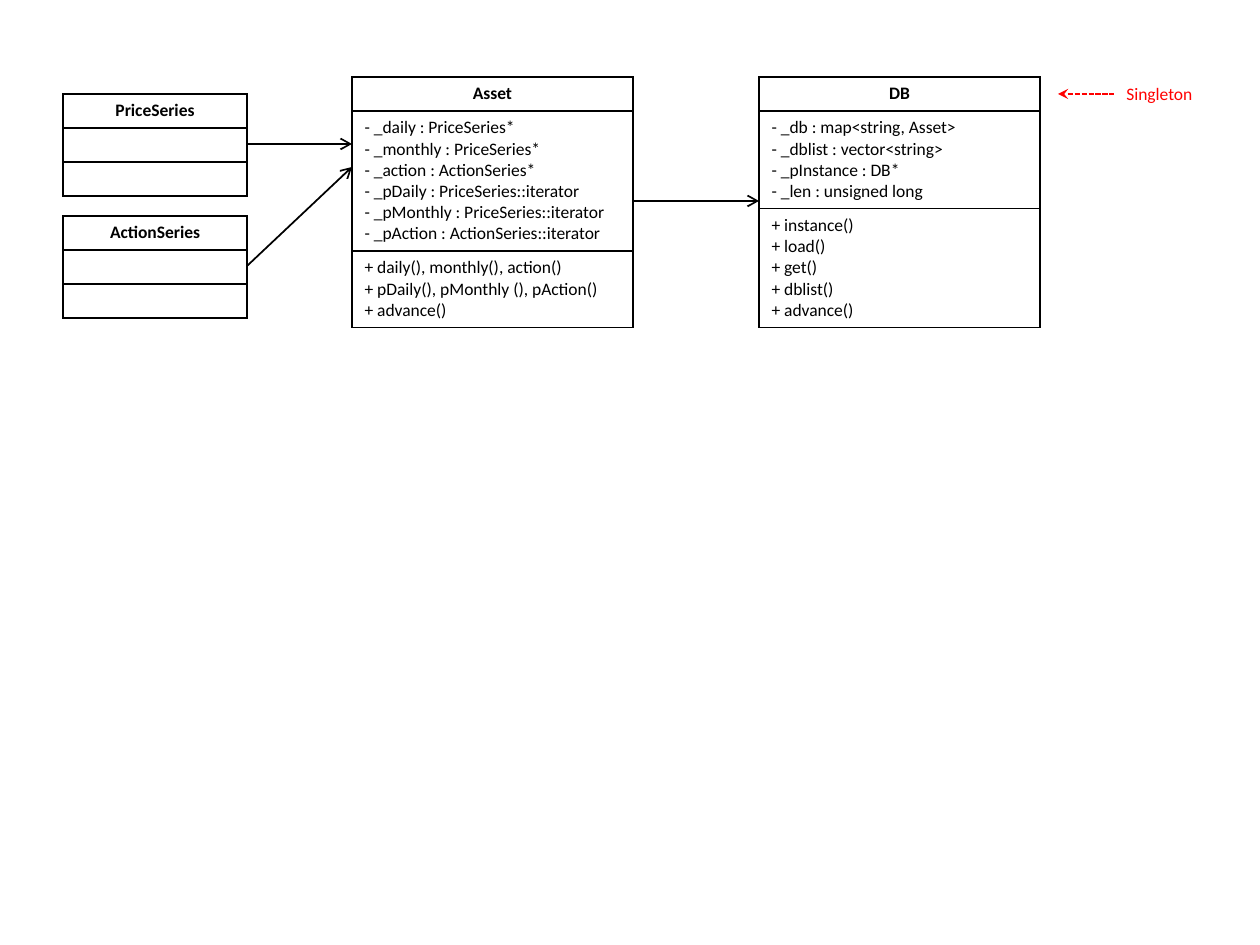
from pptx import Presentation
from pptx.dml.color import RGBColor as RGB
from pptx.enum.dml import MSO_LINE as Dash
from pptx.enum.shapes import MSO_CONNECTOR as Link, MSO_SHAPE as Shape
from pptx.enum.text import MSO_ANCHOR as Anchor, MSO_AUTO_SIZE as Fit, PP_ALIGN as Align
from pptx.oxml.ns import qn
from pptx.util import Pt
from lxml.etree import SubElement as Sub

SCALE = 914400 // 126
COLORS = {"ink": "000000", "paper": "FFFFFF", "note": "FF0000"}


def px(n):
    return round(n * SCALE)


class Board:
    font = "Calibri"
    size = 10
    width = 1

    def __init__(self, slide):
        self.slide = slide

    def color(self, name):
        return RGB.from_string(COLORS[name])

    def fill(self, item, name):
        item.fill.solid()
        item.fill.fore_color.rgb = self.color(name)

    def text(self, frame, lines, color="ink", bold=False, align=Align.LEFT):
        for i, line in enumerate(lines):
            para = frame.add_paragraph() if i else frame.paragraphs[0]
            para.alignment = align
            run = para.add_run()
            run.text = line
            run.font.name = self.font
            run.font.size = Pt(self.size)
            run.font.bold = bold
            run.font.color.rgb = self.color(color)
        if not lines:
            end = Sub(frame.paragraphs[0]._p, qn("a:endParaRPr"))
            end.set("sz", str(self.size * 100))

    def border(self, cell):
        props = cell._tc.get_or_add_tcPr()
        for i, side in enumerate(("lnL", "lnR", "lnT", "lnB")):
            line = props.makeelement(qn("a:" + side), {"w": str(Pt(self.width))})
            fill = Sub(line, qn("a:solidFill"))
            Sub(fill, qn("a:srgbClr"), val=COLORS["ink"])
            props.insert(i, line)

    def entity(self, x, y, w, name, fields=(), methods=()):
        parts = [(name,), fields, methods]
        highs = [round(12.6 + 21.2 * max(1, len(part))) for part in parts]
        frame = self.slide.shapes.add_table(3, 1, px(x), px(y), px(w), px(sum(highs)))
        table = frame.table
        table.first_row = table.horz_banding = False
        for i, (part, high) in enumerate(zip(parts, highs)):
            table.rows[i].height = px(high)
            cell = table.cell(i, 0)
            self.fill(cell, "paper")
            self.border(cell)
            self.text(cell.text_frame, part, bold=i == 0,
                      align=Align.LEFT if i else Align.CENTER)

    def arrow(self, tip, tail, color="ink", head="arrow", dash=None):
        link = self.slide.shapes.add_connector(Link.STRAIGHT, *map(px, tip + tail))
        link.line.color.rgb = self.color(color)
        link.line.width = Pt(self.width)
        if dash:
            link.line.dash_style = dash
        Sub(link.line._get_or_add_ln(), qn("a:headEnd"), type=head)
        Sub(link._element.spPr, qn("a:effectLst"))

    def label(self, x, y, w, h, words, color):
        box = self.slide.shapes.add_shape(Shape.RECTANGLE, *map(px, (x, y, w, h)))
        box.shadow.inherit = False
        self.fill(box, "paper")
        box.line.fill.background()
        frame = box.text_frame
        frame.word_wrap = False
        frame.auto_size = Fit.SHAPE_TO_FIT_TEXT
        frame.vertical_anchor = Anchor.TOP
        self.text(frame, [words], color)


deck = Presentation()
deck.slide_width, deck.slide_height = px(1260), px(945)
board = Board(deck.slides.add_slide(deck.slide_layouts[6]))

board.entity(352, 77, 281, "Asset", [
    "- _daily : PriceSeries*",
    "- _monthly : PriceSeries*",
    "- _action : ActionSeries*",
    "- _pDaily : PriceSeries::iterator",
    "- _pMonthly : PriceSeries::iterator",
    "- _pAction : ActionSeries::iterator",
], [
    "+ daily(), monthly(), action()",
    "+ pDaily(), pMonthly (), pAction()",
    "+ advance()",
])
board.entity(759, 77, 281, "DB", [
    "- _db : map<string, Asset>",
    "- _dblist : vector<string>",
    "- _pInstance : DB*",
    "- _len : unsigned long",
], ["+ instance()", "+ load()", "+ get()", "+ dblist()", "+ advance()"])
board.arrow((759, 201), (633, 201))
board.label(1114, 77, 92, 34, "Singleton", "note")
board.arrow((1058, 94), (1114, 94), "note", "stealth", Dash.SQUARE_DOT)

for name, top, tip in (("PriceSeries", 94, 144), ("ActionSeries", 216, 167)):
    board.entity(63, top, 184, name)
    board.arrow((352, tip), (247, top + 50))

deck.save("out.pptx")
